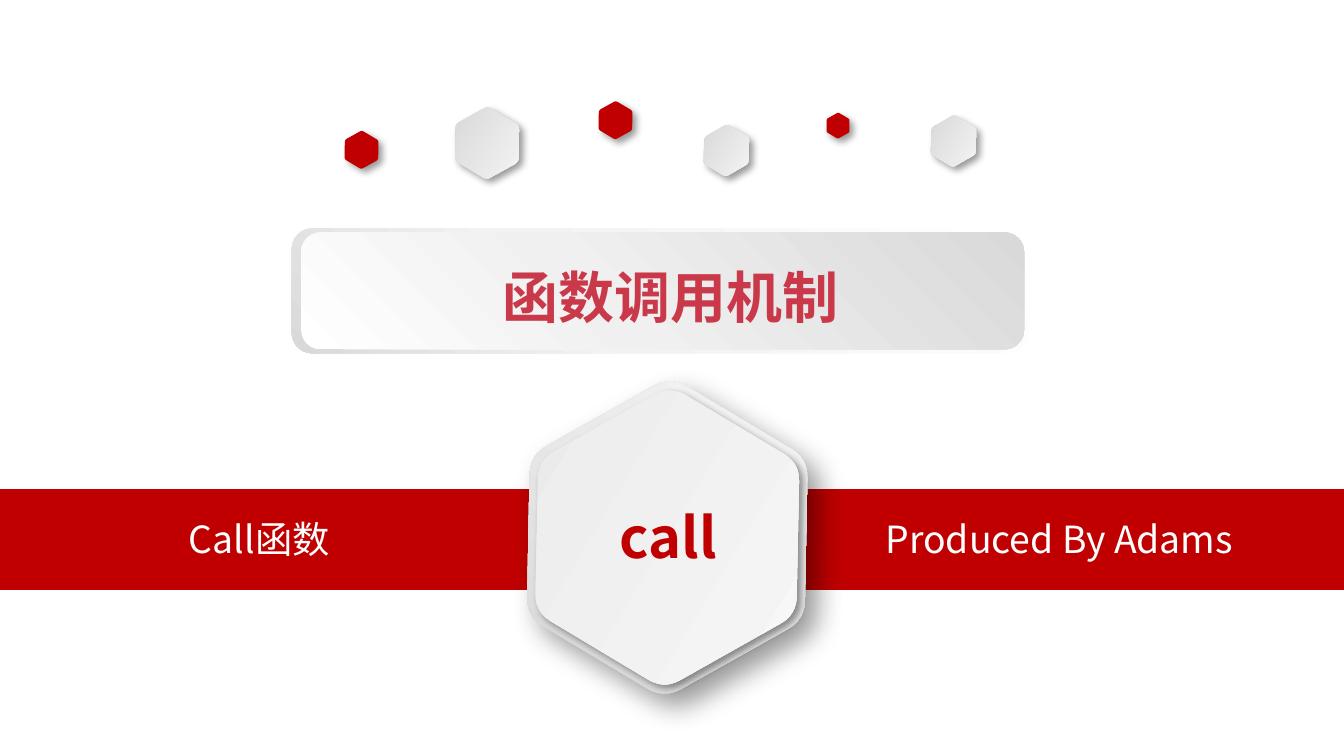
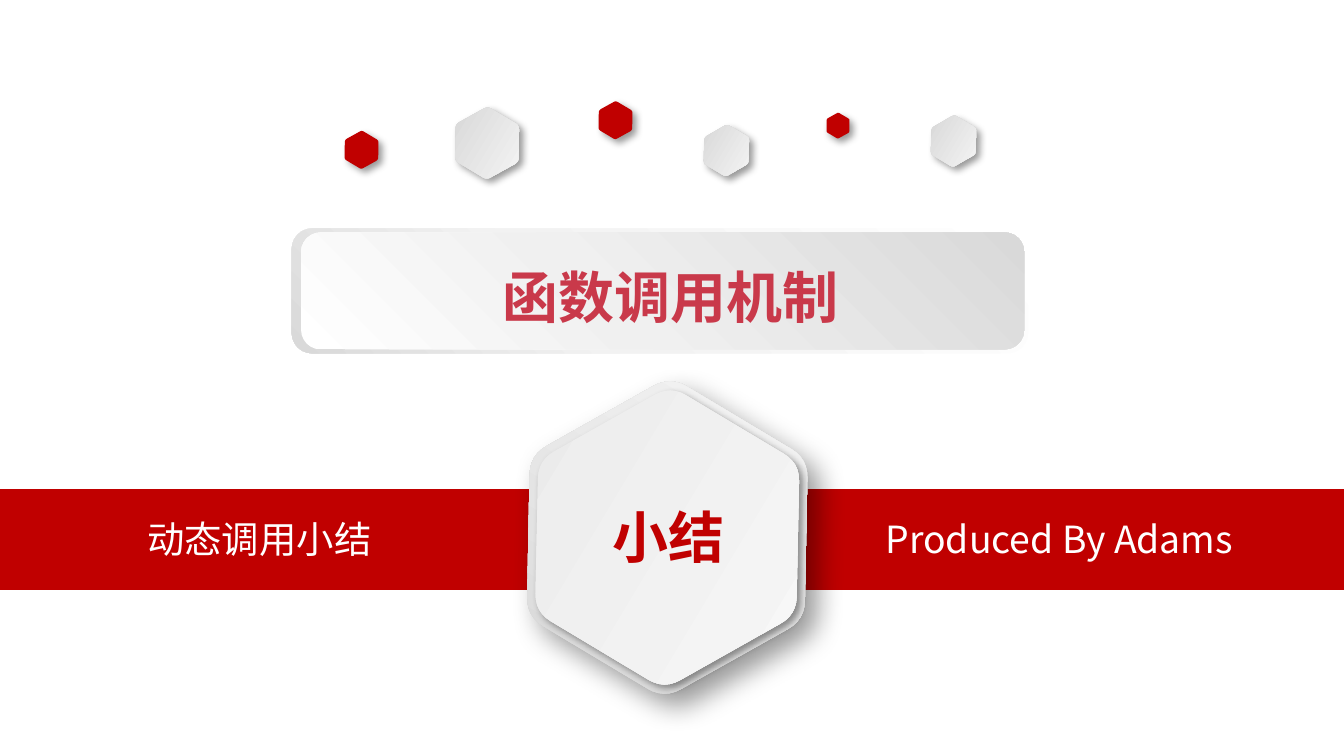
"""Build two red and grey section slides about function calls."""
from math import cos, radians, sin
from lxml.etree import SubElement
from pptx import Presentation
from pptx.dml.color import RGBColor
from pptx.enum.shapes import MSO_SHAPE
from pptx.enum.text import MSO_ANCHOR, MSO_AUTO_SIZE, PP_ALIGN
from pptx.oxml.ns import qn
from pptx.util import Inches, Pt

RED, ROSE, WHITE = "C00000", "C9394A", "FFFFFF"
SILVER = [(0, "D3D3D3"), (100, "F9F9F9")]
PEARL = [(0, "E9E9E9"), (100, "F9F9F9")]
FONT = "Noto Sans CJK SC"
SOFT, DEEP = (4, 3), (15, 9)


def paint(shape, fill, angle=0, shade=None):
    shape.line.fill.background()
    shape.shadow.inherit = False
    props = shape._element.spPr
    if isinstance(fill, str):
        shape.fill.solid()
        shape.fill.fore_color.rgb = RGBColor.from_string(fill)
    else:
        grad = SubElement(props, qn("a:gradFill"), rotWithShape="1")
        stops = SubElement(grad, qn("a:gsLst"))
        for place, tint in fill:
            stop = SubElement(stops, qn("a:gs"), pos=str(place * 1000))
            SubElement(stop, qn("a:srgbClr"), val=tint)
        SubElement(grad, qn("a:lin"), ang=str(angle * 60000), scaled="0")
        props.find(qn("a:ln")).addprevious(grad)
    if shade:
        cast(props.find(qn("a:effectLst")), *shade)


def cast(effects, blur, dist):
    drop = SubElement(effects, qn("a:outerShdw"), blurRad=str(Pt(blur)), dist=str(Pt(dist)),
                      dir="2700000", algn="tl", rotWithShape="0")
    tint = SubElement(drop, qn("a:srgbClr"), val="000000")
    SubElement(tint, qn("a:alpha"), val="40000")


outline = []
for turn in range(0, 360, 60):
    tip, prev, after = [(cos(radians(a)), sin(radians(a))) for a in (turn, turn - 60, turn + 60)]
    start = [t + 0.12 * (p - t) for t, p in zip(tip, prev)]
    end = [t + 0.12 * (n - t) for t, n in zip(tip, after)]
    for step in range(7):
        u = step / 6
        outline.append([round(10000 * ((1 - u) ** 2 * s + 2 * u * (1 - u) * t + u * u * e))
                        for s, t, e in zip(start, tip, end)])

small = [
    (3.36, 0.83, 0.53, 0.47, SILVER, 0, SOFT),
    (4.44, 0.77, 0.28, 0.25, RED, 0, SOFT),
    (2.55, 0.99, 0.28, 0.25, RED, 0, SOFT),
    (5.22, 0.95, 0.37, 0.34, SILVER, 0, SOFT),
    (6.14, 0.85, 0.19, 0.17, RED, 0, SOFT),
    (6.91, 0.88, 0.37, 0.34, SILVER, 0, SOFT),
]
large = [
    (3.81, 2.96, 2.31, 2.08, SILVER, 270, DEEP),
    (3.88, 3.02, 2.17, 1.96, PEARL, 0, SOFT),
]
plates = [
    (2.17, 1.70, 5.48, 0.93, 62, "F2F2F2", 135),
    (2.24, 1.73, 5.38, 0.87, 42, "F0F0F0", 315),
]

deck = Presentation()
deck.slide_width, deck.slide_height = Inches(10), Inches(5.625)

for topic, badge in [("Call函数", "call"), ("动态调用小结", "小结")]:
    slide = deck.slides.add_slide(deck.slide_layouts[5])
    shapes = slide.shapes
    title = shapes.title

    band = shapes.add_shape(MSO_SHAPE.RECTANGLE, 0, Inches(3.64), Inches(10), Inches(0.75))
    paint(band, RED)
    left = shapes.add_textbox(Inches(0.17), Inches(3.79), Inches(3.52), Inches(0.44))
    right = shapes.add_textbox(Inches(6.49), Inches(3.79), Inches(3.5), Inches(0.44))

    cells = []
    for x, y, w, h, fill, angle, shade in small + large:
        pen = shapes.build_freeform(*outline[0], scale=100)
        pen.add_line_segments(outline[1:], close=True)
        cell = pen.convert_to_shape()
        cell.left, cell.top, cell.width, cell.height = map(Inches, (x, y, w, h))
        cell.rotation = 30.9
        paint(cell, fill, angle, shade)
        cells.append(cell)
    shapes.add_group_shape(cells[len(small):])

    panels = []
    for x, y, w, h, place, tint, angle in plates:
        panel = shapes.add_shape(MSO_SHAPE.ROUNDED_RECTANGLE, *map(Inches, (x, y, w, h)))
        paint(panel, [(0, WHITE), (place, tint), (100, "D9D9D9")], angle)
        panels.append(panel)
    shapes.add_group_shape(panels)

    title.left, title.top, title.width, title.height = map(Inches, (2.25, 1.9, 5.48, 0.6))
    panels[-1]._element.getparent().addnext(title._element)
    label = shapes.add_shape(MSO_SHAPE.ROUNDED_RECTANGLE, *map(Inches, (3.99, 3.74, 1.97, 0.5)))
    label.fill.background()
    label.line.fill.background()
    label.shadow.inherit = False

    for shape, text, size, tint, align in [
        (left, topic, 20, WHITE, PP_ALIGN.CENTER),
        (right, "Produced By Adams", 20, WHITE, PP_ALIGN.LEFT),
        (title, "函数调用机制", 30, ROSE, PP_ALIGN.CENTER),
        (label, badge, 30, RED, PP_ALIGN.CENTER),
    ]:
        frame = shape.text_frame
        frame.text = text
        frame.word_wrap = True
        frame.auto_size = MSO_AUTO_SIZE.NONE if shape is label else MSO_AUTO_SIZE.SHAPE_TO_FIT_TEXT
        frame.vertical_anchor = MSO_ANCHOR.MIDDLE if shape is label else MSO_ANCHOR.TOP
        frame.paragraphs[0].alignment = align
        run = frame.paragraphs[0].runs[0]
        run.font.size, run.font.bold = Pt(size), size == 30
        run.font.color.rgb = RGBColor.from_string(tint)
        props = run._r.get_or_add_rPr()
        if shape is label:
            cast(SubElement(props, qn("a:effectLst")), *SOFT)
        run.font.name = FONT
        SubElement(props, qn("a:ea"), typeface=FONT)

deck.save("out.pptx")
